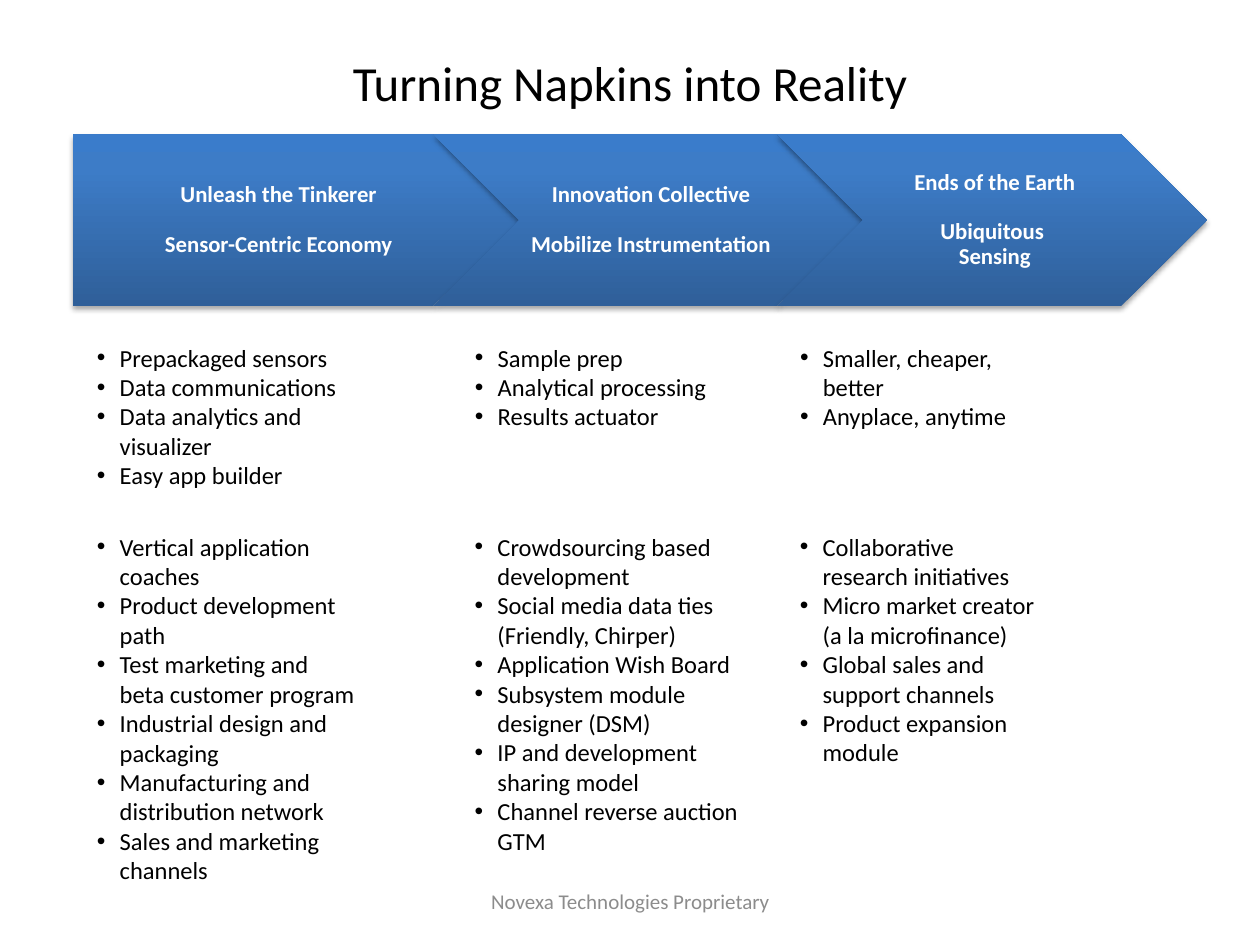
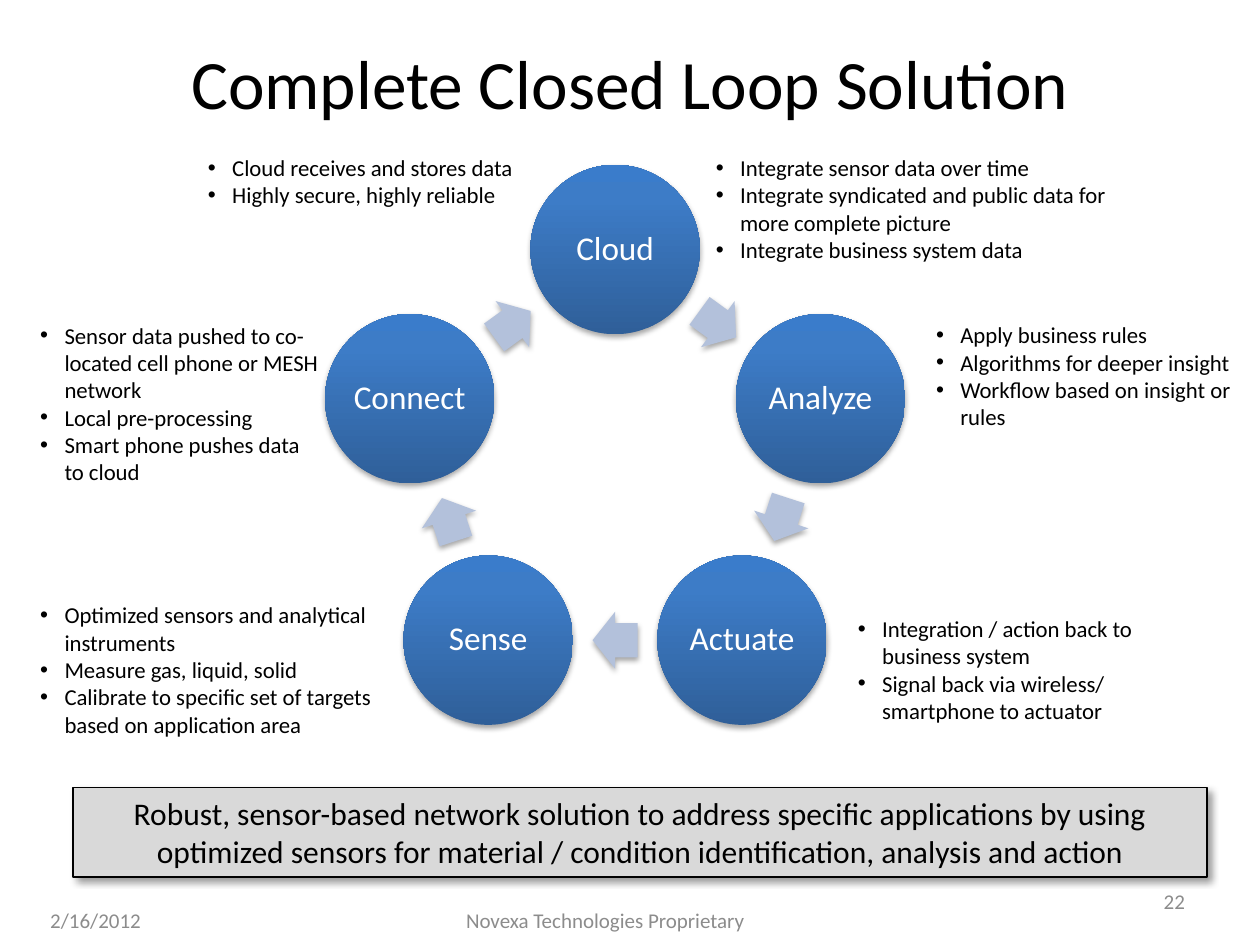
from dataclasses import dataclass
from math import cos, pi, sin
from typing import Any

from pptx import Presentation
from pptx.dml.color import RGBColor
from pptx.enum import shapes, text
from pptx.oxml import parse_xml
from pptx.oxml.ns import nsdecls, qn
from pptx.util import Length, Pt

FONT = "Calibri"
HUE = {
    "ink": "000000", "white": "FFFFFF", "gray": "8C8C8C", "panel": "D9D9D9",
    "arrow": "B3C1DB", "deep": "2F5F99", "mid": "3D7CC7", "top": "3A7CCB",
}
BLEND = ((0, "deep"), (80, "mid"), (100, "top"))
KIND, ALIGN = shapes.MSO_SHAPE, text.PP_ALIGN
ANCHOR, FIT = text.MSO_ANCHOR, text.MSO_AUTO_SIZE
OWNER = "Novexa Technologies Proprietary"


@dataclass
class Box:
    left: float
    top: float
    width: float
    height: float

    def pts(self) -> list[Length]:
        return [Pt(v) for v in (self.left, self.top, self.width, self.height)]


@dataclass
class Shade:
    alpha: int
    blur: float
    dist: float
    angle: int


@dataclass
class Note:
    left: float
    top: float
    width: float
    lines: int
    items: tuple[str, ...]


@dataclass
class Step:
    kind: Any
    left: float
    width: float
    inset: float
    lines: tuple[str, ...]


SOFT, HARD = Shade(35, 3.1, 1.8, 90), Shade(40, 4, 3, 45)

STEPS = (
    Step(KIND.PENTAGON, 41.76, 254.9, 5.8,
         ("Unleash the Tinkerer", "Sensor-Centric Economy")),
    Step(KIND.CHEVRON, 247.7, 245.5, 4.3,
         ("Innovation Collective", "Mobilize Instrumentation")),
    Step(KIND.CHEVRON, 444.2, 245.5, 4.3,
         ("Ends of the Earth", "Ubiquitous \vSensing")),
)

ROW_A, ROW_B = 192.2, 300.2
COL_A, COL_B, COL_C = 48.2, 264.2, 450
PLANS = (
    Note(COL_A, ROW_A, 162.7, 5, (
        "Prepackaged sensors", "Data communications",
        "Data analytics and visualizer", "Easy app builder")),
    Note(COL_B, ROW_A, 167.8, 3, (
        "Sample prep", "Analytical processing", "Results actuator")),
    Note(COL_C, ROW_A, 141.8, 3, (
        "Smaller, cheaper, better", "Anyplace, anytime")),
    Note(COL_A, ROW_B, 162.7, 12, (
        "Vertical application coaches", "Product development path",
        "Test marketing and beta customer program",
        "Industrial design and packaging",
        "Manufacturing and distribution network",
        "Sales and marketing channels")),
    Note(COL_B, ROW_B, 167.8, 12, (
        "Crowdsourcing based development",
        "Social media data ties (Friendly, Chirper)",
        "Application Wish Board", "Subsystem module designer (DSM)",
        "IP and development sharing model", "Channel reverse auction GTM")),
    Note(COL_C, ROW_B, 153.4, 9, (
        "Collaborative research initiatives",
        "Micro market creator (a la microfinance)",
        "Global sales and support channels", "Product expansion module")),
)

STAGES = ("Cloud", "Analyze", "Actuate", "Sense", "Connect")
HINTS = (
    Note(15.8, 339.8, 228.2, 5, (
        "Optimized sensors and analytical instruments",
        "Measure gas, liquid, solid",
        "Calibrate to specific set of targets based on application area")),
    Note(15.8, 180, 174.2, 6, (
        "Sensor data pushed to co-located cell phone or MESH network",
        "Local pre-processing", "Smart phone pushes data to cloud")),
    Note(111.6, 84.2, 203, 2, (
        "Cloud receives and stores data", "Highly secure, highly reliable")),
    Note(401.8, 84.2, 252, 4, (
        "Integrate sensor data over time",
        "Integrate syndicated and public data for more complete picture",
        "Integrate business system data")),
    Note(527.8, 180, 192.2, 4, (
        "Apply business rules", "Algorithms for deeper insight",
        "Workflow based on insight or rules")),
    Note(483.1, 347.8, 195.1, 4, (
        "Integration / action back to business system",
        "Signal back via wireless/ smartphone to actuator")),
)


def put(item: Any, **vals: Any) -> None:
    for name, val in vals.items():
        setattr(item, name, val)


def place(item: Any, box: Box) -> None:
    put(item, **dict(zip(("left", "top", "width", "height"), box.pts())))


def write(item: Any, lines: tuple[str, ...], size: float, hue: str = "ink",
          bold: bool = False, align: Any = ALIGN.CENTER, gap: float = 0,
          pitch: float = 1, **frame: Any) -> None:
    """Fill the frame with one paragraph a line, with a gap between them."""
    body = item.text_frame
    put(body, **{"word_wrap": True, "auto_size": FIT.NONE,
                 "vertical_anchor": ANCHOR.MIDDLE, **frame})
    for i, line in enumerate(lines):
        para = body.paragraphs[0] if i == 0 else body.add_paragraph()
        para.text = line
        put(para, alignment=align, line_spacing=pitch, space_after=Pt(0),
            space_before=Pt(gap if i else 0))
        for run in para.runs:
            put(run.font, name=FONT, size=Pt(size), bold=bold)
            run.font.color.rgb = RGBColor.from_string(HUE[hue])


def insets(side: float, right: float, edge: float) -> dict[str, Length]:
    return {"margin_left": Pt(side), "margin_right": Pt(right),
            "margin_top": Pt(edge), "margin_bottom": Pt(edge)}


def cast(shape: Any, shade: Shade) -> None:
    """Give the shape an outer shadow."""
    shape.shadow.inherit = False
    shape.element.spPr.find(qn("a:effectLst")).append(parse_xml(
        f'<a:outerShdw {nsdecls("a")} blurRad="{Pt(shade.blur)}" '
        f'dist="{Pt(shade.dist)}" dir="{shade.angle * 60000}" rotWithShape="0">'
        f'<a:srgbClr val="{HUE["ink"]}"><a:alpha val="{shade.alpha * 1000}"/>'
        '</a:srgbClr></a:outerShdw>'))


def draw(slide: Any, kind: Any, box: Box, hue: str = "",
         shade: Shade = SOFT) -> Any:
    """Add a borderless shape, blue blend when no hue is named."""
    shape = slide.shapes.add_shape(kind, *box.pts())
    shape.line.fill.background()
    if hue:
        shape.fill.solid()
        shape.fill.fore_color.rgb = RGBColor.from_string(HUE[hue])
    else:
        shape.fill.gradient()
        shape.fill.gradient_angle = 90
        stops = "".join(f'<a:gs pos="{pos * 1000}"><a:srgbClr val="{HUE[name]}"/>'
                        '</a:gs>' for pos, name in BLEND)
        grad = shape.element.spPr.find(qn("a:gradFill"))
        grad.replace(grad.find(qn("a:gsLst")), parse_xml(
            f'<a:gsLst {nsdecls("a")}>{stops}</a:gsLst>'))
    cast(shape, shade)
    return shape


def start(deck: Any, title: str, size: float) -> Any:
    slide = deck.slides.add_slide(deck.slide_layouts[4])
    place(slide.shapes.title, Box(36, 21.6, 648, 50.4))
    write(slide.shapes.title, (title,), size)
    return slide


def list_all(slide: Any, notes: tuple[Note, ...], size: float,
             indent: float) -> None:
    """Use the body placeholders first, then text boxes, for the lists."""
    free = [p for p in slide.placeholders if p.placeholder_format.idx > 0]
    for note in notes:
        box = Box(note.left, note.top, note.width,
                  7.2 + note.lines * size * 1.22)
        item = free.pop(0) if free else slide.shapes.add_textbox(*box.pts())
        place(item, box)
        write(item, note.items, size, align=ALIGN.LEFT,
              vertical_anchor=ANCHOR.TOP, auto_size=FIT.SHAPE_TO_FIT_TEXT)
        for para in item.text_frame.paragraphs:
            props = para._p.get_or_add_pPr()
            props.set("marL", str(Pt(indent)))
            props.set("indent", str(-Pt(indent)))
            for mark in ('buFont typeface="Arial"', 'buChar char="•"'):
                tag, attr = mark.split(" ")
                props.append(parse_xml(f'<a:{tag} {nsdecls("a")} {attr}/>'))


def foot(slide: Any, line: str, left: float, top: float, width: float,
         align: Any = ALIGN.CENTER) -> None:
    box = slide.shapes.add_textbox(*Box(left, top, width, 28.8).pts())
    write(box, (line,), 12, "gray", align=align)


def show_steps(deck: Any) -> None:
    slide = start(deck, "Turning Napkins into Reality", 28)
    for step in STEPS:
        shape = draw(slide, step.kind, Box(step.left, 76.8, step.width, 98))
        write(shape, step.lines, 13, "white", bold=True, gap=14, pitch=0.9,
              **insets(step.inset, 1.4, 2.9))
    list_all(slide, PLANS, 14, 13)
    foot(slide, OWNER, 246.2, 500.4, 228.2)


def show_loop(deck: Any) -> None:
    slide = start(deck, "Complete Closed Loop Solution", 39.6)
    mid_x, mid_y, reach, disc = 351.5, 266, 123.4, 96.8
    turn = 2 * pi / len(STAGES)

    def spot(dist: float, angle: float, wide: float, high: float) -> Box:
        return Box(mid_x + dist * sin(angle) - wide / 2,
                   mid_y - dist * cos(angle) - high / 2, wide, high)

    for i, stage in enumerate(STAGES):
        ball = draw(slide, KIND.OVAL, spot(reach, i * turn, disc, disc))
        write(ball, (stage,), 19, "white", pitch=0.9, **insets(2, 2, 2))
        arrow = draw(slide, KIND.RIGHT_ARROW, spot(
            reach * cos(turn / 2), (i + 0.5) * turn, 25.8, 32.6), "arrow")
        arrow.adjustments[0] = 0.6
        arrow.rotation = (i + 0.5) * 360 / len(STAGES)
    list_all(slide, HINTS, 13, 13.9)

    panel = draw(slide, KIND.RECTANGLE, Box(41.8, 450, 648, 51.1), "panel", HARD)
    panel.line.color.rgb = RGBColor.from_string(HUE["ink"])
    panel.line.width = Pt(0.75)
    write(panel, ("Robust, sensor-based network solution to address specific "
                  "applications by using optimized sensors for material / "
                  "condition identification, analysis and action",), 18,
          vertical_anchor=ANCHOR.TOP, auto_size=FIT.SHAPE_TO_FIT_TEXT)
    foot(slide, "2/16/2012", 21.6, 511.2, 168, ALIGN.LEFT)
    foot(slide, OWNER, 231.8, 511.2, 228.2)
    foot(slide, "22", 516.2, 500.4, 168, ALIGN.RIGHT)


def main() -> None:
    deck = Presentation()
    put(deck, slide_width=Pt(720), slide_height=Pt(540))
    show_steps(deck)
    show_loop(deck)
    deck.save("out.pptx")


if __name__ == "__main__":
    main()
